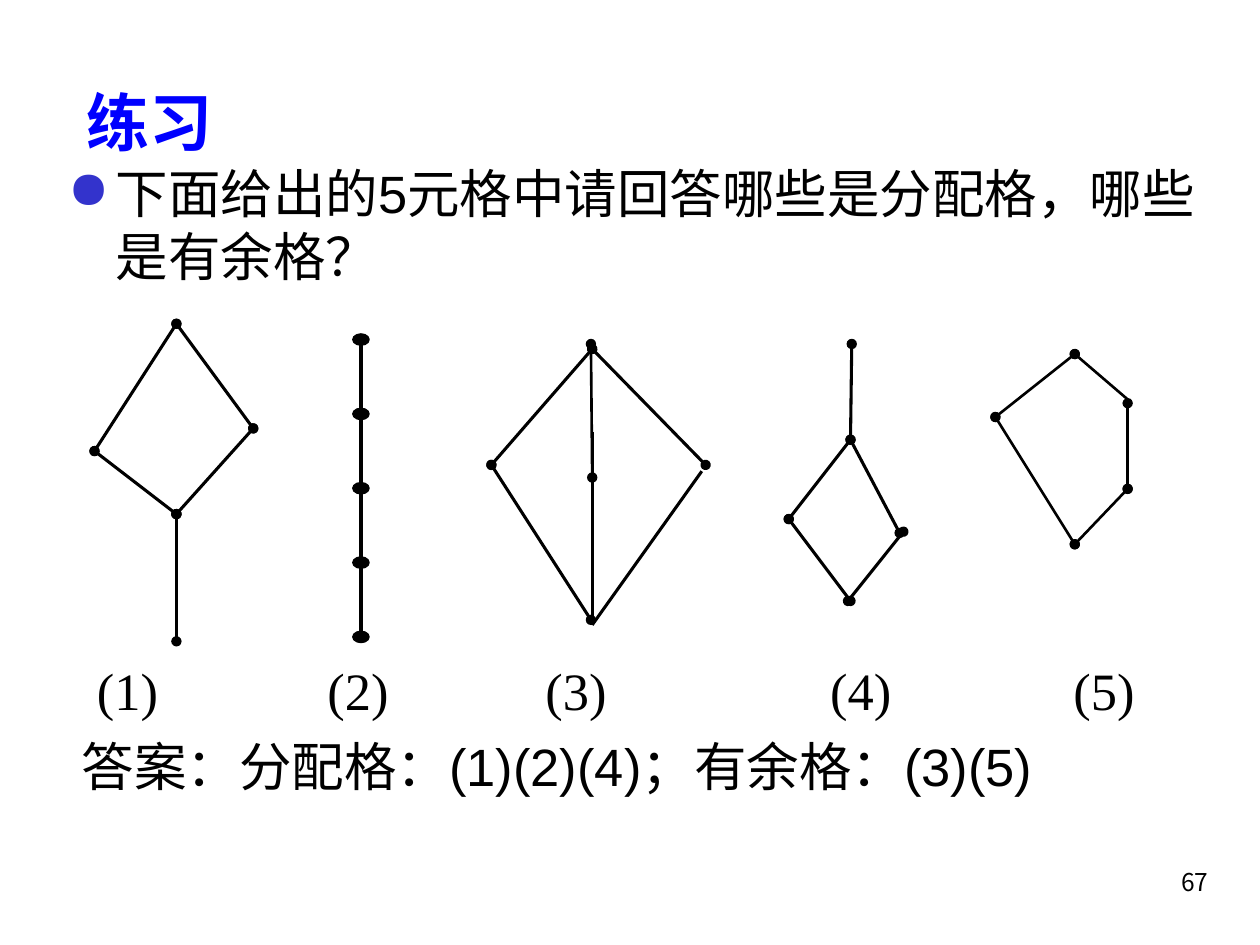
from dataclasses import dataclass
from typing import NamedTuple

from lxml import etree
from pptx import Presentation
from pptx.dml.color import RGBColor
from pptx.enum import shapes, text
from pptx.oxml.ns import qn
from pptx.util import Inches, Pt


@dataclass(frozen=True)
class Theme:
    ink: RGBColor = RGBColor(0, 0, 0)
    heading: RGBColor = RGBColor(0, 0, 255)
    bullet: str = "3333CC"
    sans: str = "Arial"
    serif: str = "Times New Roman"
    number: str = "Noto Sans CJK KR"
    heading_size: int = 36
    body_size: int = 30
    number_size: int = 14
    edge: float = 1.75
    thin_edge: float = 1.5
    dot_outline: float = 0.75


class Point(NamedTuple):
    x: float
    y: float


class Edge(NamedTuple):
    start: Point
    end: Point
    dots: str = "both"
    width: float = Theme.edge


class Box(NamedTuple):
    left: float
    top: float
    width: float
    height: float


THEME = Theme()
LABEL_TABS = (1.83, 3.56, 5.82, 7.75)


def kite_on_stem() -> list[Edge]:
    left, right = Point(0.75, 3.58), Point(2.01, 3.4)
    top, join, bottom = Point(1.4, 2.57), Point(1.4, 4.08), Point(1.4, 5.09)
    return [Edge(left, join), Edge(join, bottom), Edge(left, top),
            Edge(top, right), Edge(right, join)]


def diamond_with_axis() -> list[Edge]:
    top, bottom, left = Point(4.7, 2.77), Point(4.7, 4.96), Point(3.9, 3.69)
    return [Edge(top, left), Edge(left, Point(4.69, 4.92)),
            Edge(top, Point(5.6, 3.69)),
            Edge(Point(5.57, 3.74), bottom, "none"),
            Edge(Point(4.69, 2.73), Point(4.7, 3.79), "both", THEME.thin_edge),
            Edge(Point(4.7, 3.43), bottom, "none")]


def kite_under_stem() -> list[Edge]:
    left, join = Point(6.26, 4.12), Point(6.75, 3.49)
    return [Edge(left, Point(6.75, 4.77)), Edge(left, join),
            Edge(join, Point(7.14, 4.23)),
            Edge(Point(7.17, 4.22), Point(6.73, 4.77)),
            Edge(join, Point(6.76, 2.73), "tail")]


def pentagon() -> list[Edge]:
    top, left, bottom = Point(8.53, 2.81), Point(7.9, 3.31), Point(8.53, 4.32)
    upper, lower = Point(8.95, 3.2), Point(8.95, 3.88)
    thin = THEME.thin_edge
    return [Edge(top, left, "both", thin),
            Edge(top, Point(8.95, 3.17), "head", thin),
            Edge(upper, lower, "both", thin), Edge(left, bottom, "both", thin),
            Edge(lower, bottom, "both", thin)]


def draw_edge(canvas, edge: Edge) -> None:
    line = canvas.add_connector(
        shapes.MSO_CONNECTOR.STRAIGHT,
        *(Inches(value) for value in (*edge.start, *edge.end)))
    line.line.color.rgb = THEME.ink
    line.line.width = Pt(edge.width)
    outline = line.line._get_or_add_ln()
    for end in ("head", "tail"):
        if edge.dots in (end, "both"):
            etree.SubElement(outline, qn(f"a:{end}End"), type="oval")
    etree.SubElement(line._element.spPr, qn("a:effectLst"))


def draw_lattice(slide, edges: list[Edge]) -> None:
    lattice = slide.shapes.add_group_shape().shapes
    for edge in edges:
        draw_edge(lattice, edge)


def draw_chain(slide, first: Box, step: float, count: int) -> None:
    chain = slide.shapes.add_group_shape().shapes
    tops = [first.top + index * step for index in range(count)]
    for top in tops:
        node = chain.add_shape(
            shapes.MSO_SHAPE.OVAL, Inches(first.left), Inches(top),
            Inches(first.width), Inches(first.height))
        node.shadow.inherit = False
        node.fill.solid()
        node.fill.fore_color.rgb = THEME.ink
        node.line.color.rgb = THEME.ink
        node.line.width = Pt(THEME.dot_outline)
    middle = first.left + first.width / 2
    for top in tops[:-1]:
        draw_edge(chain, Edge(Point(middle, top + first.height),
                              Point(middle, top + step), "none"))


def add_text(slide, box: Box, wording: str, font: str, size: int,
             color: RGBColor = THEME.ink, bold: bool = False,
             align=text.PP_ALIGN.LEFT, bullet: bool = False,
             tabs: tuple[float, ...] = ()) -> None:
    frame = slide.shapes.add_textbox(*(Inches(value) for value in box)).text_frame
    frame.word_wrap = True
    paragraph = frame.paragraphs[0]
    paragraph.text = wording
    paragraph.alignment = align
    properties = paragraph._p.get_or_add_pPr()
    if bullet:
        properties.set("marL", str(Inches(0.38)))
        properties.set("indent", str(Inches(-0.38)))
        tint = etree.SubElement(properties, qn("a:buClr"))
        etree.SubElement(tint, qn("a:srgbClr"), val=THEME.bullet)
        etree.SubElement(properties, qn("a:buChar"), char="●")
    if tabs:
        stops = etree.SubElement(properties, qn("a:tabLst"))
        for position in tabs:
            etree.SubElement(stops, qn("a:tab"), pos=str(Inches(position)), algn="l")
    paragraph.font.name = font
    paragraph.font.size = Pt(size)
    paragraph.font.bold = bold
    paragraph.font.color.rgb = color


def main() -> None:
    presentation = Presentation()
    presentation.slide_width, presentation.slide_height = Inches(10), Inches(7.5)
    slide = presentation.slides.add_slide(presentation.slide_layouts[6])

    add_text(slide, Box(0.59, 0.61, 9.14, 0.78), "练习", THEME.serif,
             THEME.heading_size, THEME.heading, bold=True)
    add_text(slide, Box(0.44, 1.23, 9.39, 1.2),
             "下面给出的5元格中请回答哪些是分配格，哪些是有余格？",
             THEME.sans, THEME.body_size, bullet=True)

    draw_lattice(slide, kite_on_stem())
    draw_chain(slide, Box(2.8, 2.65, 0.13, 0.09), step=0.59, count=5)
    for edges in (diamond_with_axis(), kite_under_stem(), pentagon()):
        draw_lattice(slide, edges)

    labels = "\t".join(f"({number})" for number in range(1, 6))
    add_text(slide, Box(0.67, 5.17, 8.66, 0.61), labels, THEME.serif,
             THEME.body_size, tabs=LABEL_TABS)
    add_text(slide, Box(0.55, 5.78, 8.74, 0.61),
             "答案：分配格：(1)(2)(4)；有余格：(3)(5)", THEME.sans, THEME.body_size)
    add_text(slide, Box(7.61, 6.83, 2.08, 0.5), "67", THEME.number,
             THEME.number_size, align=text.PP_ALIGN.RIGHT)

    presentation.save("out.pptx")


if __name__ == "__main__":
    main()
